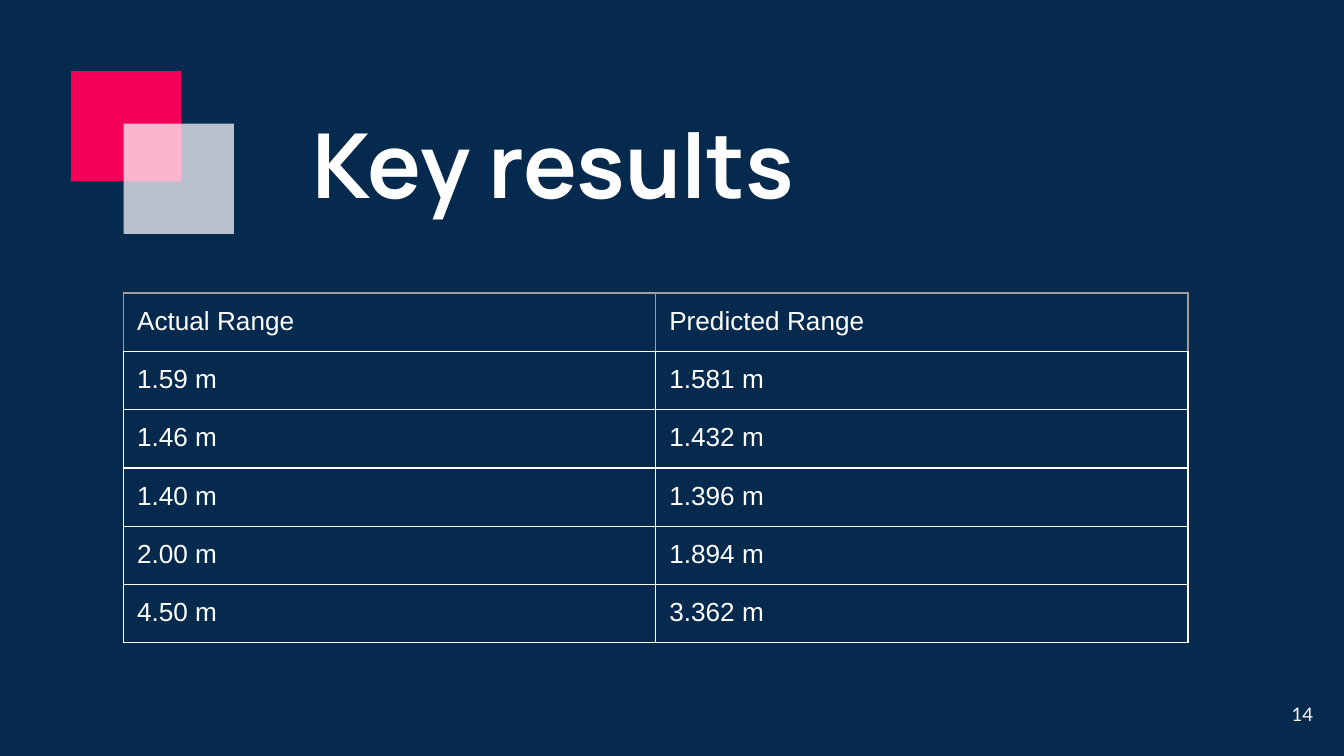
from lxml import etree
from pptx import Presentation
from pptx.dml.color import RGBColor
from pptx.enum.shapes import MSO_SHAPE
from pptx.enum.text import MSO_ANCHOR, PP_ALIGN
from pptx.oxml.ns import qn
from pptx.util import Inches, Pt

NAVY, PINK, WHITE, GREY = "052A4D", "F50057", "FFFFFF", "9E9E9E"
PAD = 0.1
ROWS = [
    ("Actual Range", "Predicted Range"),
    ("1.59 m", "1.581 m"),
    ("1.46 m", "1.432 m"),
    ("1.40 m", "1.396 m"),
    ("2.00 m", "1.894 m"),
    ("4.50 m", "3.362 m"),
]


def paint(color, code):
    color.rgb = RGBColor.from_string(code)


def pad(item):
    item.margin_left = item.margin_right = Inches(PAD)
    item.margin_top = item.margin_bottom = Inches(PAD)


def add_run(para, text, font, size, bold=False):
    para.line_spacing = 1.0
    run = para.add_run()
    run.text = text
    run.font.name, run.font.size, run.font.bold = font, Pt(size), bold
    paint(run.font.color, WHITE)


def add_text(slide, box, text, font, size, bold=False,
             align=PP_ALIGN.LEFT, anchor=MSO_ANCHOR.TOP):
    frame = slide.shapes.add_textbox(*map(Inches, box)).text_frame
    frame.word_wrap = True
    frame.vertical_anchor = anchor
    pad(frame)
    para = frame.paragraphs[0]
    para.alignment = align
    add_run(para, text, font, size, bold)


def add_squares(slide, left, top, side, shift):
    # Pink square with a translucent white one overlapping it
    for step, (code, alpha) in enumerate([(PINK, 100), (WHITE, 71)]):
        x, y = left + step * shift, top + step * shift
        square = slide.shapes.add_shape(
            MSO_SHAPE.RECTANGLE, *map(Inches, (x, y, side, side)))
        square.shadow.inherit = False
        square.line.fill.background()
        square.fill.solid()
        paint(square.fill.fore_color, code)
        if alpha < 100:
            tint = square.fill._xPr.find(".//" + qn("a:srgbClr"))
            etree.SubElement(tint, qn("a:alpha"), val=str(alpha * 1000))


def add_borders(cell, codes):
    props = cell._tc.get_or_add_tcPr()
    for side, code in zip("LRTB", codes):
        line = etree.SubElement(props, qn("a:ln" + side), w=str(Pt(0.75)))
        fill = etree.SubElement(line, qn("a:solidFill"))
        etree.SubElement(fill, qn("a:srgbClr"), val=code)


def add_results(slide, left, top, width, height, frame):
    shape = slide.shapes.add_table(
        len(ROWS), len(ROWS[0]), *map(Inches, (left, top, width, height)))
    table = shape.table
    table.first_row = table.horz_banding = False
    for r, row in enumerate(ROWS):
        edge = GREY if r == 0 else WHITE
        for c, text in enumerate(row):
            cell = table.cell(r, c)
            pad(cell)
            add_borders(cell, (edge, edge, edge, WHITE))
            cell.fill.background()
            add_run(cell.text_frame.paragraphs[0], text, "Arial", 14)
    # The rows and columns, not the frame, set the drawn size
    shape.width = shape.height = Inches(frame)


def build_slide(deck):
    slide = deck.slides.add_slide(deck.slide_layouts[6])
    slide.background.fill.solid()
    paint(slide.background.fill.fore_color, NAVY)
    add_squares(slide, 0.53, 0.53, 0.82, 0.39)
    # Title
    add_text(slide, (2.23, 0.71, 6.56, 4.39), "Key results", "Manrope", 48, True)
    add_results(slide, 0.92, 2.18, 7.92, 2.5, 3.28)
    # Page number
    add_text(slide, (9.27, 5.1, 0.6, 0.43), "14", "Lato", 10,
             align=PP_ALIGN.RIGHT, anchor=MSO_ANCHOR.MIDDLE)


def main():
    deck = Presentation()
    deck.slide_width = Inches(10)
    deck.slide_height = deck.slide_width * 9 // 16
    build_slide(deck)
    deck.save("out.pptx")


if __name__ == "__main__":
    main()
